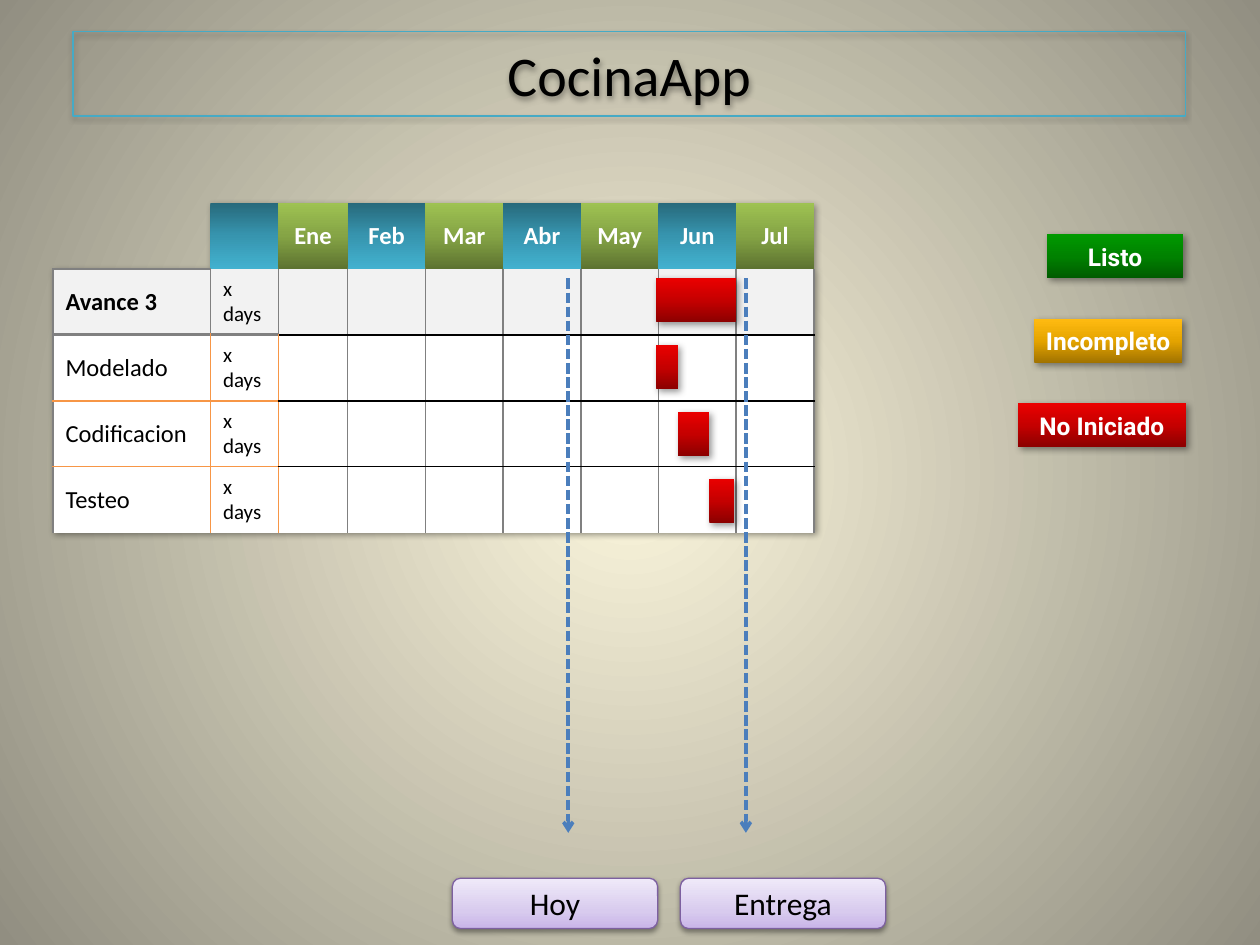
from pptx import Presentation
from pptx.dml.color import RGBColor
from pptx.enum.dml import MSO_LINE
from pptx.enum.shapes import MSO_CONNECTOR, MSO_SHAPE
from pptx.enum.text import MSO_ANCHOR, PP_ALIGN
from pptx.oxml import parse_xml
from pptx.oxml.ns import nsdecls, qn
from pptx.util import Inches, Pt

COLUMNS, ROWS = 100, 75
MONTHS = ["Ene", "Feb", "Mar", "Abr", "May", "Jun", "Jul"]
TASKS = ["Avance 3", "Modelado", "Codificacion", "Testeo"]
TABLE_LEFT, TABLE_TOP, TABLE_WIDTH, ROW_HEIGHT = 4.2, 16.1, 60.4, 5.24
FIRST_WIDTHS = [12.5, 5.4, 5.5]
MONTH_WIDTH = (TABLE_WIDTH - sum(FIRST_WIDTHS)) / 6
BAR_HEIGHT, BAR_STEP, BAR_TOP, JUNE = 3.5, 5.3, 22.1, 52.1
GRAY, BLACK, ORANGE = "808080", "000000", "F79646"
TEAL = [(0, "27697B"), (50, "3795AF"), (100, "42B1CF")]
OLIVE = [(0, "5D7330"), (50, "85A445"), (100, "9EC252")]
RED = [(0, "8B0000"), (50, "C50000"), (100, "EA0000")]
GREEN = [(0, "005B00"), (50, "008100"), (100, "009900")]
AMBER = [(0, "A17300"), (50, "E5A400"), (100, "FFBB11")]
LILAC = [(0, "C9B5E8"), (35, "D8CBEE"), (100, "F0EAF9")]
GLOW = [(0, "FCF7DD"), (100, "918E81")]
UP = '<a:lin ang="16200000" scaled="0"/>'
DOWN = '<a:lin ang="5400000" scaled="0"/>'
CIRCLE = '<a:path path="circle"><a:fillToRect l="50000" t="50000" r="50000" b="50000"/></a:path>'
SOFT = (38, 3.1, 1.6, 90)
DEEP = (40, 4, 2, 45)


def grid(*cells):
    """Turn grid units into slide lengths."""
    return [Inches(cell / 10) for cell in cells]


def set_all(target, formats):
    """Set every attribute of a dict of format values."""
    for key, value in formats.items():
        setattr(target, key, value)


def solid(color):
    """Return the markup of a plain fill."""
    return f'<a:solidFill {nsdecls("a")}><a:srgbClr val="{color}"/></a:solidFill>'


def gradient(stops, direction=UP):
    """Return the markup of a gradient fill."""
    marks = "".join(f'<a:gs pos="{pos * 1000}"><a:srgbClr val="{color}"/></a:gs>'
                    for pos, color in stops)
    return f'<a:gradFill {nsdecls("a")} rotWithShape="1"><a:gsLst>{marks}</a:gsLst>{direction}</a:gradFill>'


def shadow(opacity, blur, distance, angle):
    """Return an effect list with one outer shadow."""
    return parse_xml(
        f'<a:effectLst {nsdecls("a")}><a:outerShdw blurRad="{Pt(blur)}" dist="{Pt(distance)}" '
        f'dir="{angle * 60000}" algn="tl" rotWithShape="0"><a:srgbClr val="{BLACK}">'
        f'<a:alpha val="{opacity * 1000}"/></a:srgbClr></a:outerShdw></a:effectLst>')


def outline(line, color, width):
    """Colour a line and set its width."""
    line.color.rgb = RGBColor.from_string(color)
    line.width = Pt(width)


def write(frame, words, color=BLACK, align=PP_ALIGN.CENTER, **formats):
    """Put one formatted paragraph in a text frame."""
    paragraph = frame.paragraphs[0]
    paragraph.alignment = align
    run = paragraph.add_run()
    run.text = words
    set_all(run.font, {"name": "Calibri", "size": Pt(14), "bold": False, **formats})
    run.font.color.rgb = RGBColor.from_string(color)


def add_block(slide, place, stops, shade=DEEP, kind=MSO_SHAPE.RECTANGLE):
    """Add a gradient block with a shadow and no line."""
    block = slide.shapes.add_shape(kind, *grid(*place))
    block.line.fill.background()
    properties = block.element.spPr
    properties.find(qn("a:ln")).addprevious(parse_xml(gradient(stops)))
    properties.append(shadow(*shade))
    block.text_frame.vertical_anchor = MSO_ANCHOR.MIDDLE
    return block


def add_legend(slide, words, place, stops):
    """Add one status label of the legend."""
    status = add_block(slide, place, stops)
    margins = ["margin_left", "margin_top", "margin_right", "margin_bottom"]
    set_all(status.text_frame, {**dict.fromkeys(margins, 0), "word_wrap": False})
    write(status.text_frame, words, "FFFFFF", name="Roboto", bold=True)


def add_milestone(slide, words, arrow_x, label_x):
    """Add a dashed arrow through the plan and its label below."""
    arrow = slide.shapes.add_connector(MSO_CONNECTOR.STRAIGHT, *grid(arrow_x, 22.1, arrow_x, 66.1))
    outline(arrow.line, "4B7EBC", 2)
    arrow.line.dash_style = MSO_LINE.SQUARE_DOT
    properties = arrow.element.spPr
    properties.find(qn("a:ln")).append(parse_xml(f'<a:tailEnd {nsdecls("a")} type="arrow"/>'))
    properties.append(parse_xml(f'<a:effectLst {nsdecls("a")}/>'))
    label = add_block(slide, (label_x, 69.7, 16.3, 4), LILAC, SOFT, MSO_SHAPE.ROUNDED_RECTANGLE)
    outline(label.line, "7D60A0", 0.75)
    write(label.text_frame, words, size=Pt(18))


def rule_across(level, column):
    """Return colour and width of the horizontal rule above a row."""
    if level in (0, 5) or (level == 1 and column):
        return None
    if level == 1:
        return GRAY, 1
    if column > 1:
        return BLACK, 1
    return (GRAY, 2.25) if level == 2 else (ORANGE, 1)


def rule_down(row, edge):
    """Return colour and width of the vertical rule left of a column."""
    if row == 0:
        return None
    return (ORANGE if row > 1 and edge in (1, 2) else GRAY), 1


def border(side, rule):
    """Return the markup of one cell border."""
    color, width = rule or (None, 0)
    fill = solid(color) if rule else "<a:noFill/>"
    return parse_xml(f'<a:ln{side} {nsdecls("a")} w="{Pt(width)}">{fill}</a:ln{side}>')


def cell_fill(row, column):
    """Return the fill of a table cell by its row and column."""
    if row:
        return solid("F2F2F2" if row == 1 else "FFFFFF")
    if column == 0:
        return f'<a:noFill {nsdecls("a")}/>'
    return gradient(TEAL, DOWN) if column % 2 else gradient(OLIVE)


def style_cell(cell, row, column):
    """Set the anchor, borders and fill of a table cell."""
    cell.vertical_anchor = MSO_ANCHOR.MIDDLE
    properties = cell._tc.get_or_add_tcPr()
    rules = {"L": rule_down(row, column), "R": rule_down(row, column + 1),
             "T": rule_across(row, column), "B": rule_across(row + 1, column)}
    for side, rule in rules.items():
        properties.append(border(side, rule))
    properties.append(parse_xml(cell_fill(row, column)))


def add_plan(slide):
    """Add the table of tasks and months."""
    count = len(TASKS) + 1
    plan = slide.shapes.add_table(count, 9, *grid(
        TABLE_LEFT, TABLE_TOP, TABLE_WIDTH, ROW_HEIGHT * count)).table
    set_all(plan, {"first_row": False, "horz_banding": False})
    properties = plan._tbl.tblPr
    properties.find(qn("a:tableStyleId")).text = "{2D5ABB26-0587-4C30-8999-92F81FD0307C}"
    properties.insert(0, shadow(*DEEP))
    for column, width in zip(plan.columns, grid(*FIRST_WIDTHS, *[MONTH_WIDTH] * 6)):
        column.width = width
    for row in range(count):
        for column in range(9):
            style_cell(plan.cell(row, column), row, column)
    for column, month in enumerate(MONTHS, 2):
        write(plan.cell(0, column).text_frame, month, "FFFFFF", bold=True)
    for row, task in enumerate(TASKS, 1):
        write(plan.cell(row, 0).text_frame, task, align=PP_ALIGN.LEFT, bold=row == 1)
        write(plan.cell(row, 1).text_frame, "x days", align=PP_ALIGN.LEFT, size=Pt(12))


def add_title(slide, words):
    """Format the title placeholder as a framed heading."""
    title = slide.shapes.title
    set_all(title, dict(zip(("left", "top", "width", "height"), grid(5.8, 2.5, 88.3, 6.7))))
    outline(title.line, "46AAC5", 0.75)
    title.element.spPr.append(shadow(*SOFT))
    title.text_frame.vertical_anchor = MSO_ANCHOR.MIDDLE
    write(title.text_frame, words, size=Pt(32))


def main():
    """Build the project plan slide."""
    deck = Presentation()
    set_all(deck, dict(zip(("slide_width", "slide_height"), grid(COLUMNS, ROWS))))
    slide = deck.slides.add_slide(deck.slide_layouts[5])
    slide.element.find(qn("p:cSld")).insert(0, parse_xml(
        f'<p:bg {nsdecls("p", "a")}><p:bgPr>{gradient(GLOW, CIRCLE)}<a:effectLst/></p:bgPr></p:bg>'))
    add_title(slide, "CocinaApp")
    add_plan(slide)
    for row, (start, span) in enumerate([(0, 6.3), (0, 1.7), (1.7, 2.5), (4.2, 2)]):
        add_block(slide, (JUNE + start, BAR_TOP + row * BAR_STEP, span, BAR_HEIGHT), RED)
    legend = [("Listo", 83.1, 10.8, GREEN), ("Incompleto", 82.1, 11.7, AMBER),
              ("No Iniciado", 80.8, 13.3, RED)]
    for row, (words, left, width, stops) in enumerate(legend):
        add_legend(slide, words, (left, 18.6 + row * 6.7, width, BAR_HEIGHT), stops)
    add_milestone(slide, "Hoy", 45.1, 35.9)
    add_milestone(slide, "Entrega", 59.2, 54)
    deck.save("out.pptx")


main()
